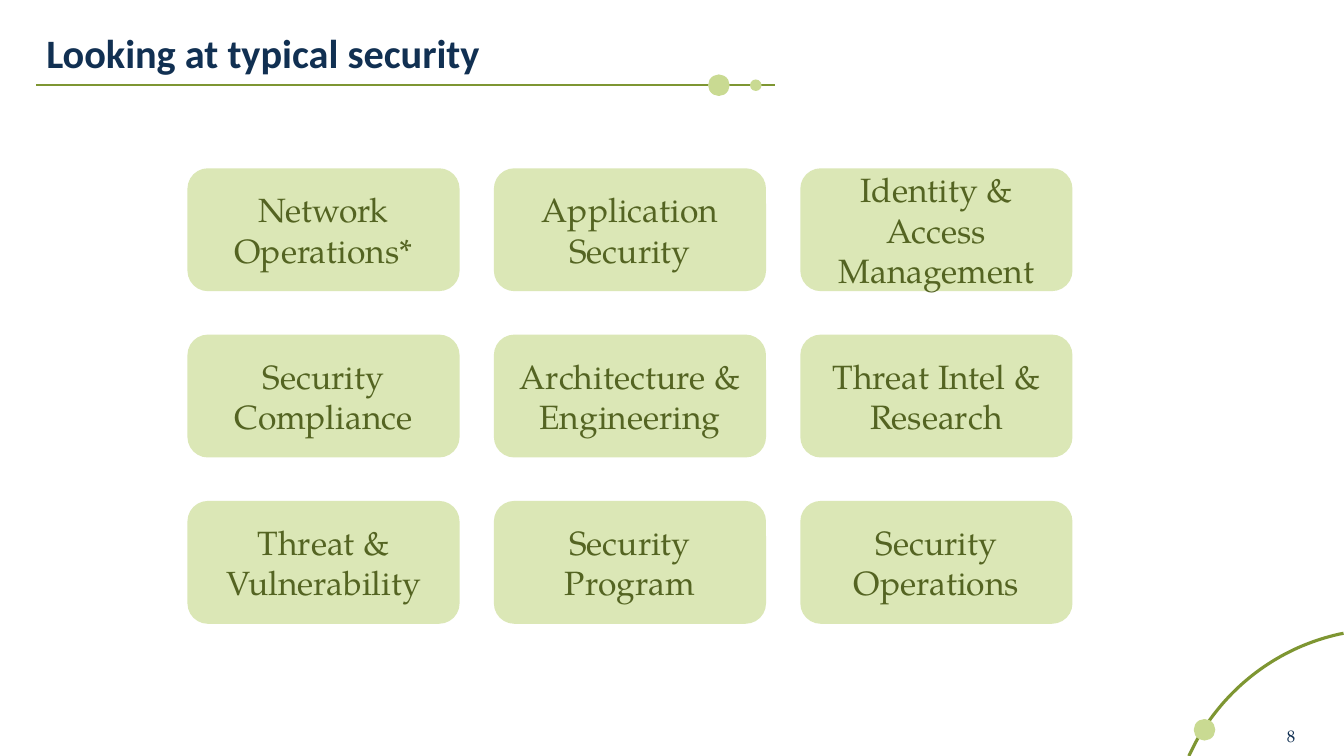
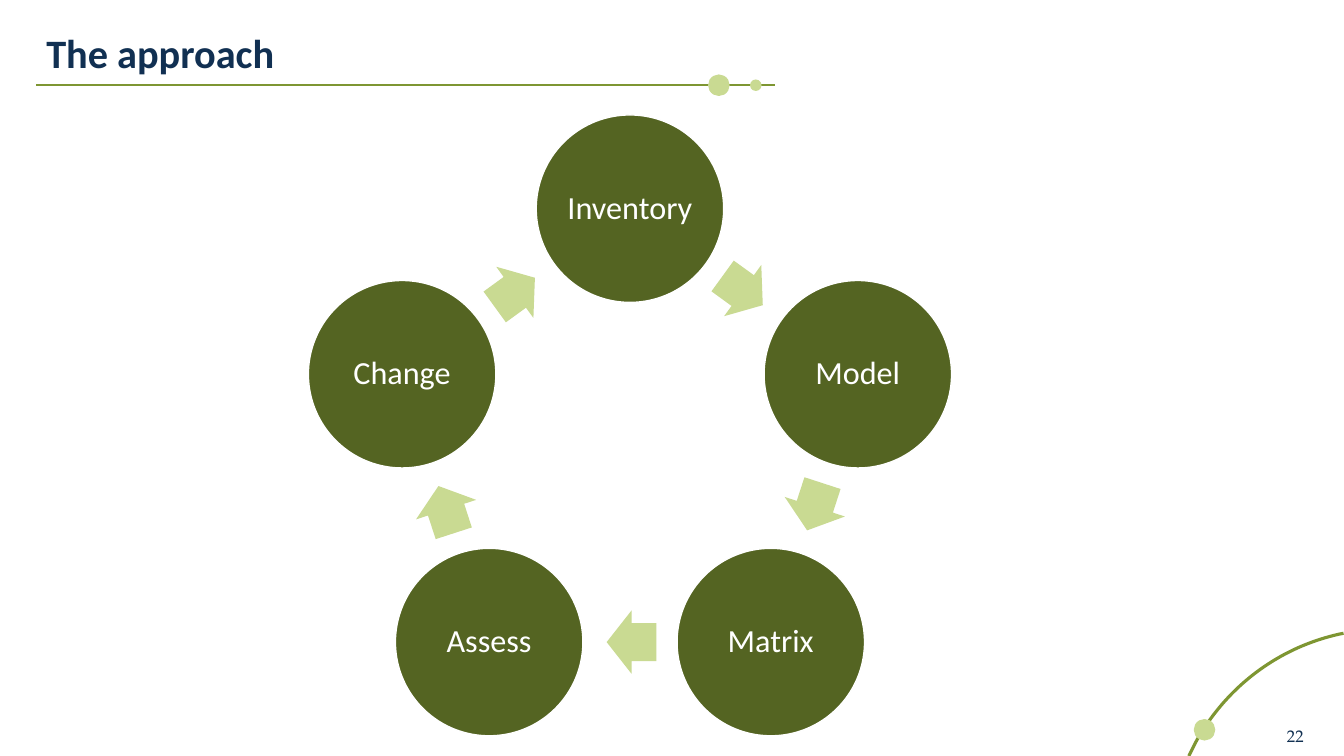
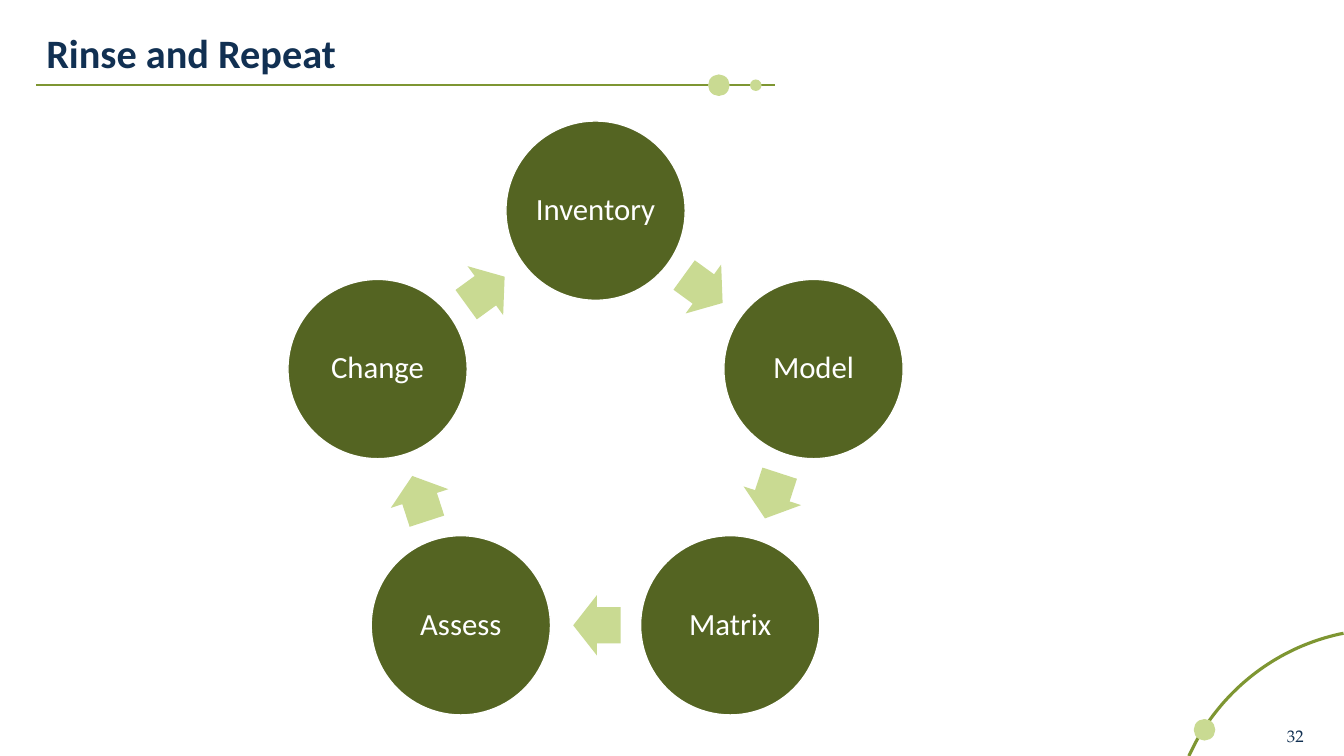
import math
from dataclasses import dataclass

from lxml import etree
from pptx import Presentation
from pptx.dml.color import RGBColor
from pptx.enum import shapes, text
from pptx.oxml import ns
from pptx.util import Pt


@dataclass(frozen=True)
class Theme:
    navy: str = "113052"
    rule: str = "7E9632"
    bead: str = "C9DA92"
    tile: str = "DBE7B6"
    olive: str = "546422"
    white: str = "FFFFFF"
    sans: str = "Calibri"
    serif: str = "TeX Gyre Pagella"
    title_size: float = 28.8
    tile_size: float = 24
    number_size: float = 12


THEME = Theme()
PAGE_WIDTH, PAGE_HEIGHT = 960, 540
CYCLE_STEPS = ["Inventory", "Model", "Matrix", "Assess", "Change"]
SECURITY_TEAMS = [
    ["Network Operations*", "Application Security", "Identity & Access Management"],
    ["Security Compliance", "Architecture & Engineering", "Threat Intel & Research"],
    ["Threat & Vulnerability", "Security Program", "Security Operations"],
]


def write(shape, words, size, font, color, bold=False, align=None, spacing=None):
    """Put one vertically centred paragraph in a shape."""
    frame = shape.text_frame
    frame.word_wrap = True
    frame.vertical_anchor = text.MSO_ANCHOR.MIDDLE
    frame.text = words
    para = frame.paragraphs[0]
    para.alignment = align
    para.line_spacing = spacing
    span = para.runs[0].font
    span.size, span.name, span.bold = Pt(size), font, bold
    span.color.rgb = RGBColor.from_string(color)


def add_label(page, box, words, size, font, **style):
    label = page.shapes.add_textbox(*map(Pt, box))
    write(label, words, size, font, THEME.navy, **style)


def add_filled(page, kind, box, fill, line=None):
    shape = page.shapes.add_shape(kind, *map(Pt, box))
    shape.shadow.inherit = False
    shape.fill.solid()
    shape.fill.fore_color.rgb = RGBColor.from_string(fill)
    if line:
        set_line(shape, line, 1)
    else:
        shape.line.fill.background()
    return shape


def set_line(shape, color, width):
    shape.line.color.rgb = RGBColor.from_string(color)
    shape.line.width = Pt(width)


def add_disc(page, center_x, center_y, diameter, fill, line):
    box = (center_x - diameter / 2, center_y - diameter / 2, diameter, diameter)
    return add_filled(page, shapes.MSO_SHAPE.OVAL, box, fill, line)


def add_bead(page, center_x, center_y, diameter):
    add_disc(page, center_x, center_y, diameter, THEME.bead, THEME.bead)


def add_heading(page, words, left, top, width):
    """Title over a beaded rule."""
    rule_y = top + 39.3
    rule = page.shapes.add_connector(
        shapes.MSO_CONNECTOR.STRAIGHT,
        Pt(left), Pt(rule_y), Pt(left + width), Pt(rule_y))
    set_line(rule, THEME.rule, 1.5)
    etree.SubElement(rule._element.spPr, ns.qn("a:effectLst"))
    add_bead(page, left + width - 40.2, rule_y, 14.4)
    add_bead(page, left + width - 13.8, rule_y, 7.2)
    add_label(page, (left, top, width + 28, 36), words, THEME.title_size,
              THEME.sans, bold=True, spacing=0.9)


def bezier(controls, t):
    weights = ((1 - t) ** 3, 3 * t * (1 - t) ** 2, 3 * t * t * (1 - t), t ** 3)
    return tuple(sum(w * point[axis] for w, point in zip(weights, controls))
                 for axis in (0, 1))


def add_corner(page, number, right, bottom):
    """Arc with a bead, and the page number, in the lower right corner."""
    controls = [(right - 106.1, bottom - 9.4), (right - 79.4, bottom - 58.3),
                (right - 28.3, bottom - 90.7), (right + 30.7, bottom - 90.7)]
    edge = 0.82  # share of the curve that lies on the page
    steps = 40
    points = [bezier(controls, edge * step / steps) for step in range(steps + 1)]
    builder = page.shapes.build_freeform(Pt(right - 110.8), Pt(bottom))
    builder.add_line_segments([(Pt(x), Pt(y)) for x, y in points], close=False)
    arc = builder.convert_to_shape()
    arc.shadow.inherit = False
    arc.fill.background()
    set_line(arc, THEME.rule, 2.25)
    add_bead(page, right - 99.6, bottom - 18.7, 14.4)
    add_label(page, (right - 47.8, bottom - 28.8, 35.3, 28.8), str(number),
              THEME.number_size, THEME.serif)


def add_tiles(page, rows, left, top, width, height):
    """Rounded tiles spread evenly over the given box."""
    tile_width, tile_height = 194.4, 87.8
    step_x = (width - tile_width) / (len(rows[0]) - 1)
    step_y = (height - tile_height) / (len(rows) - 1)
    for row, names in enumerate(rows):
        for column, name in enumerate(names):
            box = (left + column * step_x, top + row * step_y,
                   tile_width, tile_height)
            tile = add_filled(page, shapes.MSO_SHAPE.ROUNDED_RECTANGLE, box, THEME.tile)
            write(tile, name, THEME.tile_size, THEME.serif, THEME.olive,
                  align=text.PP_ALIGN.CENTER)


def add_cycle(page, steps, center_x, center_y, diameter, size):
    """Discs on a ring, clockwise from the top, with an arrow after each."""
    radius = 1.278 * diameter
    turn = 360 / len(steps)
    reach = radius * math.cos(math.radians(turn / 2))
    arrow_length, arrow_width = 0.265 * diameter, 0.3375 * diameter
    lag = 0.008 * diameter
    for index, step in enumerate(steps):
        angle = math.radians(index * turn)
        disc = add_disc(page, center_x + radius * math.sin(angle),
                        center_y - radius * math.cos(angle),
                        diameter, THEME.olive, THEME.white)
        frame = disc.text_frame
        frame.margin_left = frame.margin_right = Pt(2)
        frame.margin_top = frame.margin_bottom = Pt(2)
        write(disc, step, size, THEME.sans, THEME.white,
              align=text.PP_ALIGN.CENTER, spacing=0.9)

        heading = (index + 0.5) * turn
        sine, cosine = math.sin(math.radians(heading)), math.cos(math.radians(heading))
        arrow_x = center_x + reach * sine - lag * cosine
        arrow_y = center_y - reach * cosine - lag * sine
        box = (arrow_x - arrow_length / 2, arrow_y - arrow_width / 2,
               arrow_length, arrow_width)
        arrow = add_filled(page, shapes.MSO_SHAPE.RIGHT_ARROW, box, THEME.bead)
        arrow.adjustments[0], arrow.adjustments[1] = 0.6, 0.5
        arrow.rotation = heading


def add_page(deck, title, number):
    page = deck.slides.add_slide(deck.slide_layouts[6])
    add_heading(page, title, 26, 21.6, 527.7)
    add_corner(page, number, PAGE_WIDTH, PAGE_HEIGHT)
    return page


def main():
    deck = Presentation()
    deck.slide_width, deck.slide_height = Pt(PAGE_WIDTH), Pt(PAGE_HEIGHT)

    page = add_page(deck, "Looking at typical security", 8)
    add_tiles(page, SECURITY_TEAMS, 133.9, 120.2, 632.2, 325.4)

    page = add_page(deck, "The approach", 22)
    add_cycle(page, CYCLE_STEPS, 450, 320.2, 133.9, 23)

    page = add_page(deck, "Rinse and Repeat", 32)
    add_cycle(page, CYCLE_STEPS, 425.4, 314.2, 128.1, 22)

    deck.save("out.pptx")


if __name__ == "__main__":
    main()
